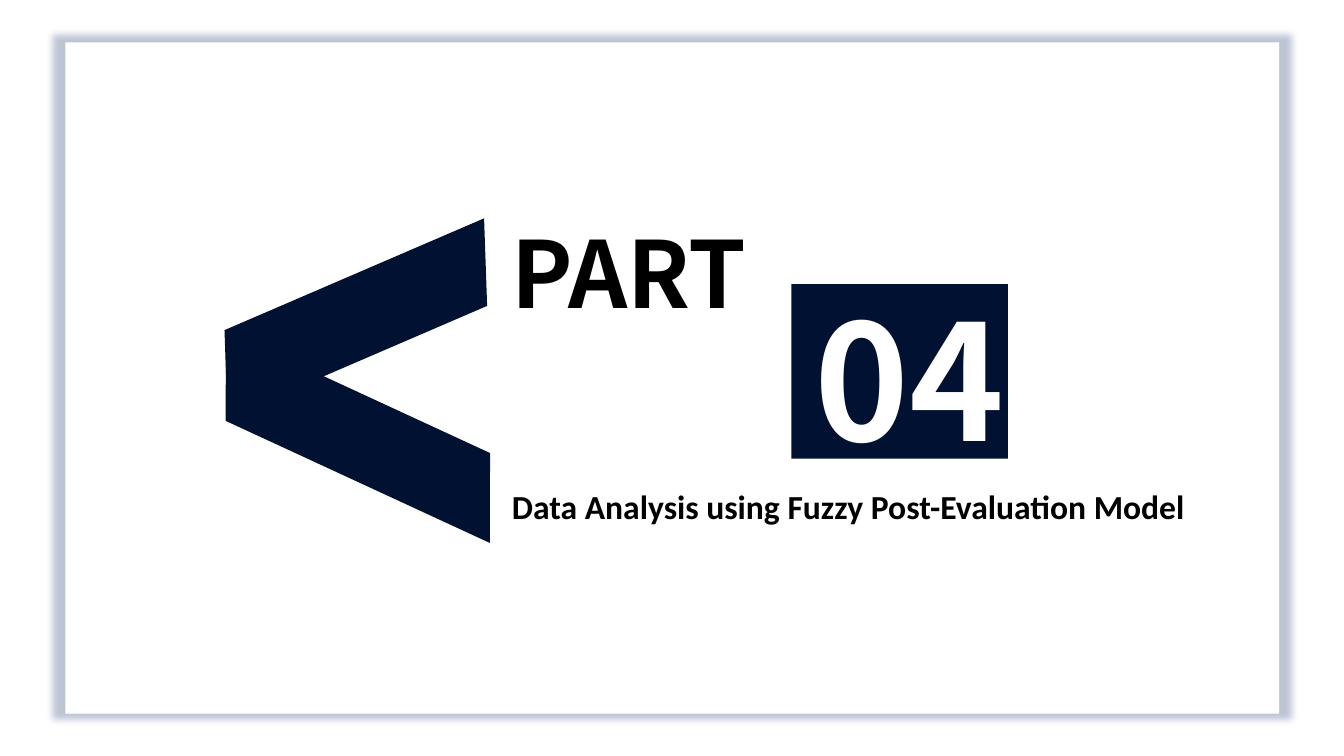
from typing import NamedTuple

from lxml import etree
from pptx import Presentation
from pptx import util as u
from pptx.dml.color import RGBColor
from pptx.enum import shapes, text
from pptx.oxml import ns

NAVY = RGBColor(0x00, 0x11, 0x32)
GLOW = RGBColor(0x00, 0x20, 0x60)
WHITE = RGBColor(0xFF, 0xFF, 0xFF)
BLACK = RGBColor(0x00, 0x00, 0x00)

RECT = shapes.MSO_SHAPE.RECTANGLE
SLANT = shapes.MSO_SHAPE.PARALLELOGRAM


class Box(NamedTuple):
    left: float
    top: float
    width: float
    height: float

    def pts(self) -> list:
        return [u.Pt(size) for size in self]


class Arm(NamedTuple):
    box: Box
    turn: float
    skew: float
    flip: bool


class Label(NamedTuple):
    box: Box
    words: str
    style: dict


FRAME = Box(46.8, 30.24, 866.88, 479.52)
PLATE = Box(565.2, 203.04, 154.8, 124.56)

ARMS = [
    Arm(Box(141.84, 198, 224.64, 58.32), 156.7, 0.39, False),
    Arm(Box(138.24, 282.96, 234.72, 58.32), 204.8, 0.46, True),
]

HEAD = "Noto Sans CJK SC"
LABELS = [
    Label(Box(358.56, 150.48, 339.12, 87.12), "PART",
          {"name": HEAD, "size": u.Pt(66), "bold": True, "fill": BLACK}),
    Label(Box(574.56, 196.56, 246.24, 146.88), "04",
          {"name": HEAD, "size": u.Pt(115), "bold": True, "fill": WHITE}),
    Label(Box(358.56, 343.44, 694.8, 36),
          "Data Analysis using Fuzzy Post-Evaluation Model",
          {"name": "Calibri", "size": u.Pt(24), "bold": True, "fill": BLACK}),
]


def add_block(tree, kind, box: Box, color: RGBColor):
    block = tree.add_shape(kind, *box.pts())
    block.shadow.inherit = False
    block.fill.solid()
    block.fill.fore_color.rgb = color
    block.line.fill.background()
    return block


def add_glow(block) -> None:
    """Put a soft, slightly larger shadow evenly round the block."""
    effects = block.element.spPr.find(ns.qn("a:effectLst"))
    glow = etree.SubElement(
        effects, ns.qn("a:outerShdw"), blurRad=str(u.Pt(5)), dist="0",
        sx="102000", sy="102000", algn="ctr", rotWithShape="0")
    color = etree.SubElement(glow, ns.qn("a:srgbClr"), val=str(GLOW))
    etree.SubElement(color, ns.qn("a:alpha"), val="25000")


def add_arm(tree, arm: Arm) -> None:
    block = add_block(tree, SLANT, arm.box, NAVY)
    block.adjustments[0] = arm.skew
    block.rotation = arm.turn
    if arm.flip:
        block.element.spPr.find(ns.qn("a:xfrm")).set("flipH", "1")


def add_label(tree, label: Label) -> None:
    frame = tree.add_textbox(*label.box.pts()).text_frame
    frame.word_wrap = True
    frame.auto_size = text.MSO_AUTO_SIZE.SHAPE_TO_FIT_TEXT
    run = frame.paragraphs[0].add_run()
    run.text = label.words
    for key, value in label.style.items():
        if key == "fill":
            run.font.color.rgb = value
        else:
            setattr(run.font, key, value)


def main() -> None:
    deck = Presentation()
    deck.slide_width, deck.slide_height = u.Pt(960), u.Pt(540)
    tree = deck.slides.add_slide(deck.slide_layouts[6]).shapes

    # White card with a soft edge
    add_glow(add_block(tree, RECT, FRAME, WHITE))

    # Chevron made of two arms
    chevron = tree.add_group_shape()
    for arm in ARMS:
        add_arm(chevron.shapes, arm)

    # Number plate and text
    add_block(tree, RECT, PLATE, NAVY)
    for label in LABELS:
        add_label(tree, label)

    deck.save("out.pptx")


if __name__ == "__main__":
    main()
